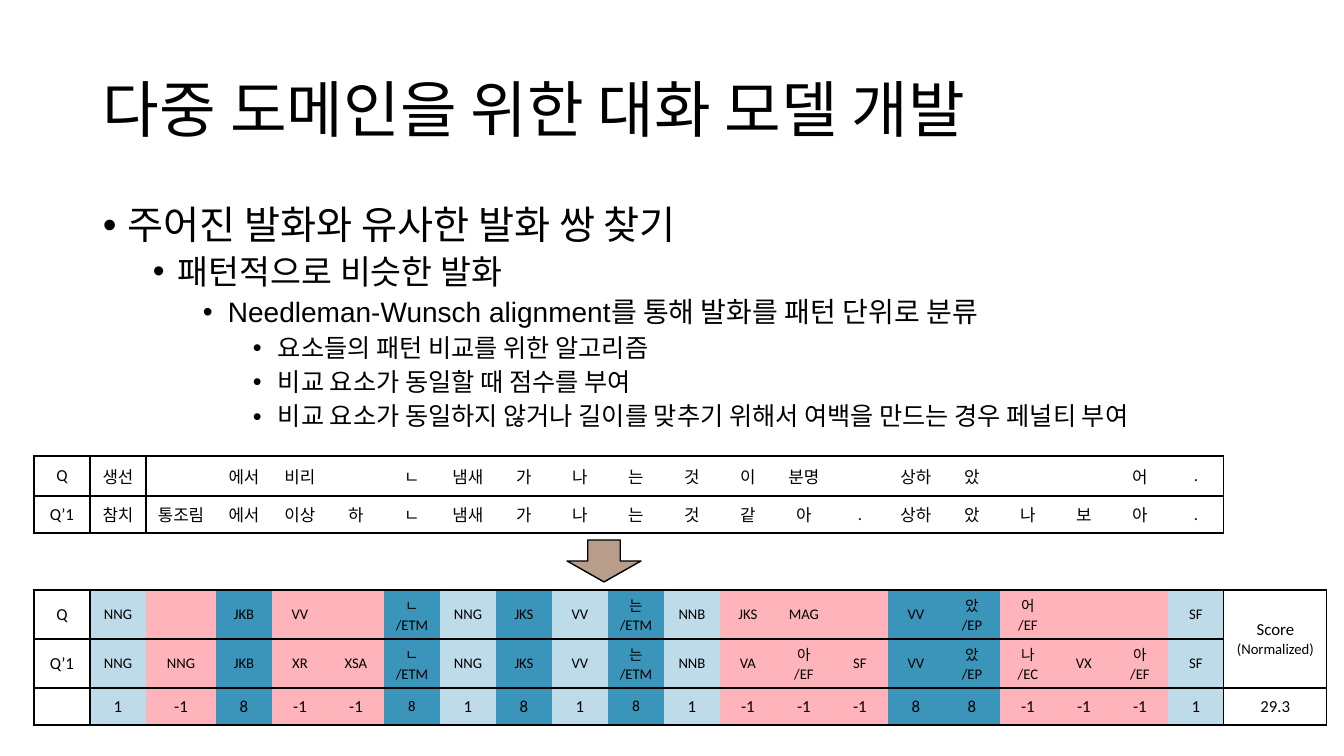
from dataclasses import dataclass

from lxml.etree import SubElement
from pptx import Presentation
from pptx.dml.color import RGBColor
from pptx.enum.shapes import MSO_SHAPE as Shape
from pptx.enum.text import MSO_ANCHOR as Anchor, PP_ALIGN as Align
from pptx.oxml.ns import qn
from pptx.util import Pt

TITLE = "다중 도메인을 위한 대화 모델 개발"
BULLETS = [
    (0, "주어진 발화와 유사한 발화 쌍 찾기"),
    (1, "패턴적으로 비슷한 발화"),
    (2, "Needleman-Wunsch alignment를 통해 발화를 패턴 단위로 분류"),
    (3, "요소들의 패턴 비교를 위한 알고리즘"),
    (3, "비교 요소가 동일할 때 점수를 부여"),
    (3, "비교 요소가 동일하지 않거나 길이를 맞추기 위해서 여백을 만드는 경우 페널티 부여"),
]
WORDS = [
    ["Q", "생선", "", "에서", "비리", "", "ㄴ", "냄새", "가", "나", "는",
     "것", "이", "분명", "", "상하", "았", "", "", "어", "."],
    ["Q’1", "참치", "통조림", "에서", "이상", "하", "ㄴ", "냄새", "가", "나", "는",
     "것", "같", "아", ".", "상하", "았", "나", "보", "아", "."],
]
SCORES = [1, -1, 8, -1, -1, 8, 1, 8, 1, 8, 1, -1, -1, -1, 8, 8, -1, -1, -1, 1]
TAGS = [
    ["Q", "NNG", "", "JKB", "VV", "", "ㄴ\n/ETM", "NNG", "JKS", "VV", "는\n/ETM",
     "NNB", "JKS", "MAG", "", "VV", "았\n/EP", "어\n/EF", "", "", "SF",
     "Score\n(Normalized)"],
    ["Q’1", "NNG", "NNG", "JKB", "XR", "XSA", "ㄴ\n/ETM", "NNG", "JKS", "VV", "는\n/ETM",
     "NNB", "VA", "아\n/EF", "SF", "VV", "았\n/EP", "나\n/EC", "VX", "아\n/EF", "SF", ""],
    ["", *map(str, SCORES), "29.3"],
]


@dataclass(frozen=True)
class Theme:
    ink: str = "000000"
    paper: str = "FFFFFF"
    arrow: str = "B89D8A"
    match: str = "BDDBE8"
    strong: str = "3B95BA"
    penalty: str = "FFB3BA"
    text_font: str = "Arial"
    table_font: str = "Calibri"
    title: float = 44
    levels: tuple = (28, 24, 20, 18)
    cell: float = 12
    tag: float = 10.5
    line: float = 1


THEME = Theme()
SCORE_FILLS = {1: THEME.match, 8: THEME.strong, -1: THEME.penalty}
SCORE_SIZES = {6: 10.5, 10: 11}
WIDTHS = [56, 56, 70] + [56] * 18
SCORE_WIDTH = 103
LAST_WORD = len(WIDTHS) - 1
TABLE_LEFT = 34
INDENT, LEVEL_STEP = 25, 50


def px(value):
    return round(value * 12192000 / 1344)


def colour(value):
    return RGBColor.from_string(value)


def style(para, name, size):
    para.font.name = name
    para.font.size = Pt(size)
    para.font.color.rgb = colour(THEME.ink)


def add_box(page, left, top, width, height, anchor):
    box = page.shapes.add_textbox(px(left), px(top), px(width), px(height))
    frame = box.text_frame
    frame.word_wrap = True
    frame.vertical_anchor = anchor
    return frame


def add_title(page):
    para = add_box(page, 93, 40, 1159, 146, Anchor.MIDDLE).paragraphs[0]
    para.text = TITLE
    para.line_spacing = 0.9
    style(para, THEME.text_font, THEME.title)


def add_bullets(page):
    frame = add_box(page, 93, 201, 1159, 480, Anchor.TOP)
    frame.text = "\n".join(text for _, text in BULLETS)
    for para, (level, _) in zip(frame.paragraphs, BULLETS):
        para.level = level
        para.line_spacing = 0.9
        para.space_before = Pt(5 if level else 10)
        props = para._p.get_or_add_pPr()
        props.set("marL", str(px(INDENT + level * LEVEL_STEP)))
        props.set("indent", str(-px(INDENT)))
        SubElement(props, qn("a:buFont"), typeface="Arial")
        SubElement(props, qn("a:buChar"), char="•")
        style(para, THEME.text_font, THEME.levels[level])


def set_borders(cell, sides):
    props = cell._tc.get_or_add_tcPr()
    for side in "LRTB":
        line = SubElement(props, qn(f"a:ln{side}"), w=str(Pt(THEME.line)))
        if side in sides:
            fill = SubElement(line, qn("a:solidFill"))
            SubElement(fill, qn("a:srgbClr"), val=THEME.ink)
        else:
            SubElement(line, qn("a:noFill"))


def add_grid(page, top, widths, heights, rows, dividers, fill_of, size_of):
    frame = page.shapes.add_table(len(rows), len(widths), px(TABLE_LEFT), px(top),
                                  px(sum(widths)), px(sum(heights)))
    table = frame.table
    table.first_row = table.horz_banding = False
    for column, width in zip(table.columns, widths):
        column.width = px(width)
    for line, height in zip(table.rows, heights):
        line.height = px(height)
    for row, texts in enumerate(rows):
        for col, text in enumerate(texts):
            cell = table.cell(row, col)
            cell.margin_left = cell.margin_right = px(4)
            cell.margin_top = cell.margin_bottom = px(2)
            cell.vertical_anchor = Anchor.MIDDLE
            left = "L" if col in dividers else ""
            right = "R" if col + 1 in dividers else ""
            set_borders(cell, "TB" + left + right)
            cell.fill.solid()
            cell.fill.fore_color.rgb = colour(fill_of(col))
            cell.text_frame.text = text
            for para in cell.text_frame.paragraphs:
                para.alignment = Align.CENTER
                style(para, THEME.table_font, size_of(row, col, para.text))
    return table


def tag_fill(col):
    return SCORE_FILLS[SCORES[col - 1]] if 1 <= col <= LAST_WORD else THEME.paper


def tag_size(row, col, text):
    if row == len(TAGS) - 1:
        return SCORE_SIZES.get(col, THEME.cell)
    return THEME.cell if col == 0 or text == "Score" else THEME.tag


def add_arrow(page):
    arrow = page.shapes.add_shape(Shape.DOWN_ARROW, px(567), px(540), px(74), px(42))
    arrow.shadow.inherit = False
    arrow.adjustments[0] = 0.44
    arrow.adjustments[1] = 0.5
    arrow.fill.solid()
    arrow.fill.fore_color.rgb = colour(THEME.arrow)
    arrow.line.color.rgb = colour(THEME.ink)
    arrow.line.width = Pt(THEME.line)


def main():
    deck = Presentation()
    deck.slide_width, deck.slide_height = px(1344), px(756)
    page = deck.slides.add_slide(deck.slide_layouts[6])
    add_title(page)
    add_bullets(page)
    end = len(WIDTHS)
    add_grid(page, 456, WIDTHS, [40, 37], WORDS, {0, 1, 2, end},
             lambda col: THEME.paper, lambda row, col, text: THEME.cell)
    add_arrow(page)
    tags = add_grid(page, 590, WIDTHS + [SCORE_WIDTH], [49, 49, 37], TAGS,
                    {0, 1, end, end + 1}, tag_fill, tag_size)
    tags.cell(0, end).merge(tags.cell(1, end))
    deck.save("out.pptx")


if __name__ == "__main__":
    main()
